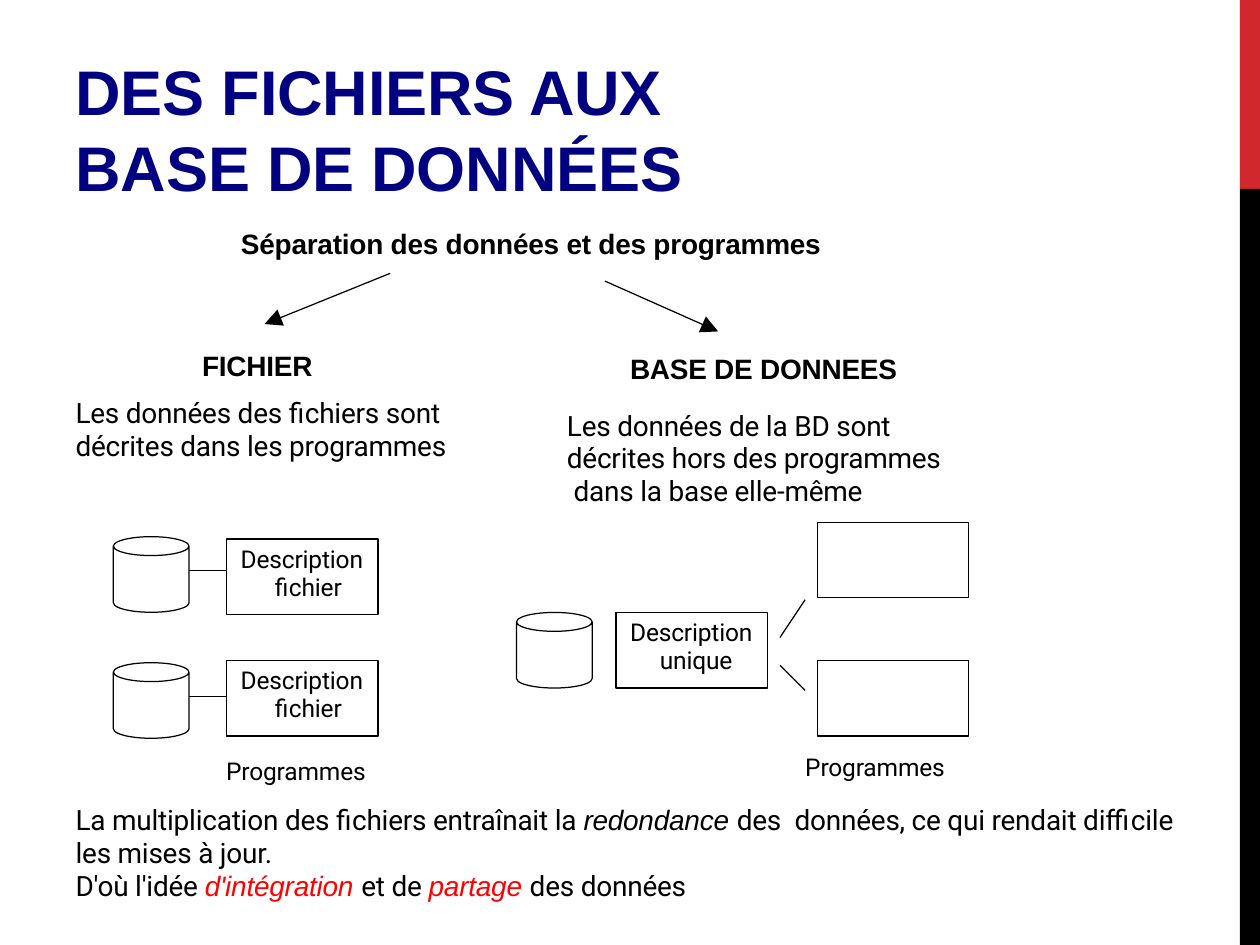
from dataclasses import dataclass
from lxml import etree
from pptx import Presentation
from pptx import util as u
from pptx.dml.color import RGBColor
from pptx.enum import shapes, text
from pptx.oxml.ns import qn

Pt = u.Pt


@dataclass
class Theme:
    red: str = "D1282E"
    black: str = "000000"
    navy: str = "000080"
    hot: str = "FF0000"
    head: str = "Arial"
    body: str = "Roboto"
    title: int = 36
    large: int = 16
    small: int = 14
    line: float = 0.72


T = Theme()
Rect = shapes.MSO_SHAPE.RECTANGLE
Can = shapes.MSO_SHAPE.CAN
deck = Presentation()
deck.slide_width, deck.slide_height = Pt(720), Pt(540)
slide = deck.slides.add_slide(deck.slide_layouts[6])


def put(words, x, y, w, h, kind=None, fill=None, font=T.body, size=T.large,
        color=T.black, bold=False, top=0, before=0, lead=None, left=0.7,
        first=0, low=False):
    box = [Pt(n) for n in (x, y, w, h)]
    if kind is None:
        shape = slide.shapes.add_textbox(*box)
    else:
        shape = slide.shapes.add_shape(kind, *box)
        shape.shadow.inherit = False
        if fill:
            shape.fill.solid()
            shape.fill.fore_color.rgb = RGBColor.from_string(fill)
            shape.line.fill.background()
        else:
            shape.fill.background()
            shape.line.color.rgb = RGBColor.from_string(T.black)
            shape.line.width = Pt(T.line)
    if not words:
        return shape
    frame = shape.text_frame
    frame.word_wrap = True
    frame.margin_left = frame.margin_right = frame.margin_bottom = 0
    frame.margin_top = Pt(top)
    frame.vertical_anchor = text.MSO_ANCHOR.BOTTOM if low else text.MSO_ANCHOR.TOP
    rows = [[(words, None)]] if isinstance(words, str) else words
    for i, row in enumerate(rows):
        para = frame.add_paragraph() if i else frame.paragraphs[0]
        para.alignment = text.PP_ALIGN.LEFT
        para.space_before = Pt(0 if i else before)
        if lead and not i:
            para.line_spacing = Pt(lead)
        props = para._p.get_or_add_pPr()
        props.set("marL", str(int(Pt(left))))
        props.set("indent", str(int(Pt(first))))
        for part, tint in row:
            for j, piece in enumerate(part.split("\v")):
                if j:
                    para.add_line_break()
                run = para.add_run()
                run.text = piece
                run.font.name = T.head if tint else font
                run.font.size = Pt(size)
                run.font.bold = bold
                run.font.italic = bool(tint)
                run.font.color.rgb = RGBColor.from_string(tint or color)
                run._r.get_or_add_rPr().set("spc", "-10")
    return shape


def link(x, y, to, down, arrow=False):
    line = slide.shapes.add_connector(
        shapes.MSO_CONNECTOR.STRAIGHT, Pt(x), Pt(y), Pt(to), Pt(down))
    line.line.color.rgb = RGBColor.from_string(T.black)
    line.line.width = Pt(T.line)
    if arrow:
        etree.SubElement(line.line._get_or_add_ln(), qn("a:tailEnd"),
                         type="triangle", w="lg", len="lg")
    etree.SubElement(line._element.spPr, qn("a:effectLst"))


put("", 708.5, 0, 11.5, 108, kind=Rect, fill=T.red)
put("", 708.5, 108, 11.5, 432, kind=Rect, fill=T.black)
put("DES FICHIERS AUX\vBASE DE DONNÉES", 36, 12, 456, 104.6, font=T.head,
    size=T.title, color=T.navy, bold=True, lead=43.4, left=7.2, low=True)

for words, x, y, w in (
    ("Séparation des données et des programmes", 137, 128.2, 345),
    ("FICHIER", 114.8, 198.4, 75),
    ("BASE DE DONNEES", 359.3, 199.8, 165),
):
    put(words, x, y, w, 21.6, font=T.head, bold=True, top=1, before=1)

link(223, 156.2, 151.2, 185.2, arrow=True)
link(345.6, 160.6, 410.4, 189.4, arrow=True)

flow = dict(top=2.2, before=2.2, lead=18.5)
put("Les données des fichiers sont\vdécrites dans les programmes",
    42.5, 224.6, 225, 40, **flow)
put("Les données de la BD sont\vdécrites hors des programmes\v dans la base elle-même",
    323.3, 231.8, 225, 58, **flow)

side = 43.2
wide = 86.4
for words, x, y, left in (
    ("Description\vfichier", 129.6, 308, 27.5),
    ("Description\vfichier", 129.6, 377.5, 27.5),
    ("Description\vunique", 352.1, 350, 25),
):
    put(words, x, y, wide, side, kind=Rect, size=T.small, top=3.6,
        before=3.8, lead=16, left=left, first=8 - left)
for y in (298.4, 377.5):
    put("", 467.3, y, wide, side, kind=Rect)
for x, y in ((64.8, 306.7), (64.8, 378.7), (295.2, 350)):
    put("", x, y, side, side, kind=Can)
for y in (326.2, 398.2):
    link(108, y, 129.6, y)
link(445.7, 364.3, 460.1, 342.7)
link(445.7, 380.2, 460.1, 394.6)

for x, y in ((128.5, 431.3), (459.4, 428.7)):
    put("Programmes", x, y, 90, 18.7, size=T.small, top=0.9, before=0.9)

put([
    [("La multiplication des fichiers entraînait la ", None),
     ("redondance ", T.black),
     ("des  données, ce qui rendait difficile\vles mises à jour.", None)],
    [("D'où l'idée ", None), ("d'intégration ", T.hot), ("et de ", None),
     ("partage ", T.hot), ("des données", None)],
], 42.5, 457.2, 658, 66, **flow)

deck.save("out.pptx")
